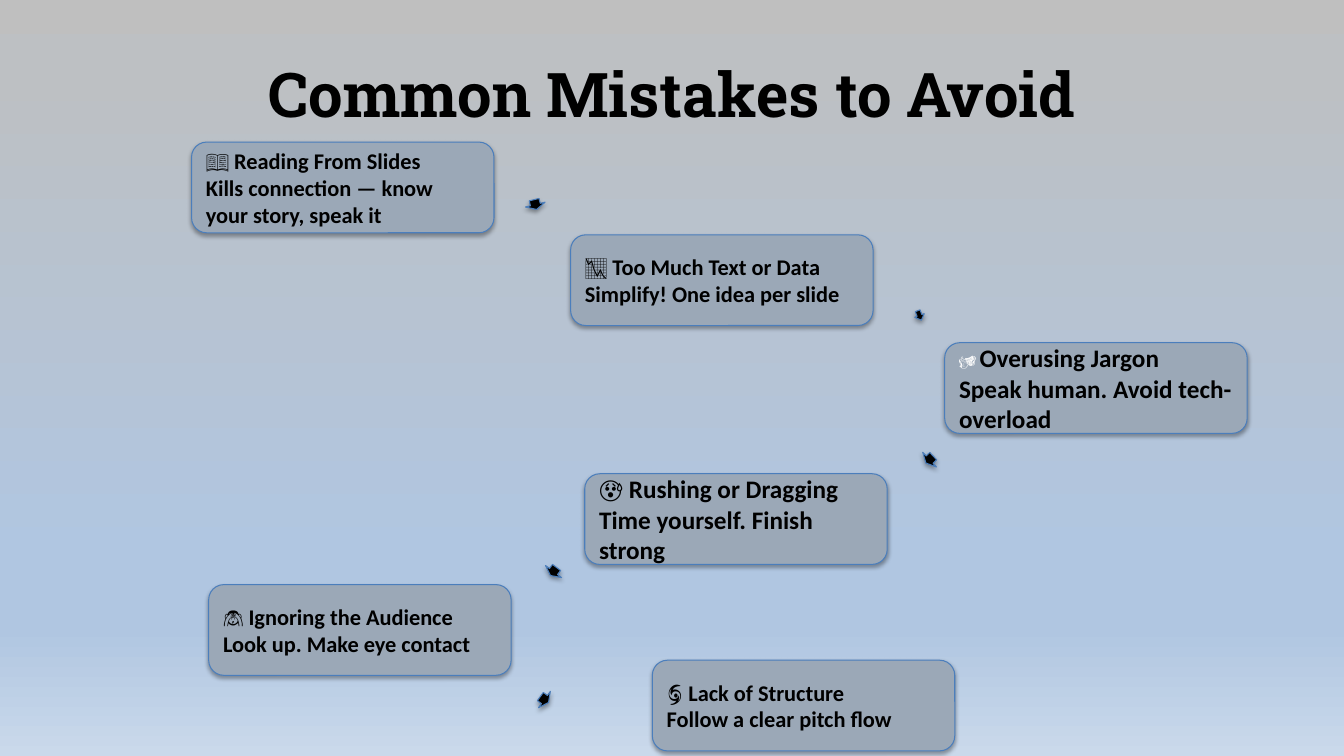
from dataclasses import dataclass

from lxml.etree import SubElement
from pptx import Presentation
from pptx.dml.color import RGBColor
from pptx.enum.shapes import MSO_SHAPE
from pptx.enum.text import MSO_ANCHOR, PP_ALIGN
from pptx.oxml.ns import qn
from pptx.util import Emu, Pt

EMU_PER_PX = 9144  # 100 px to the inch
CARD_SIZE = (300, 90)


@dataclass(frozen=True)
class Theme:
    background: tuple = ((0, "BFBFBF"), (9, "BDC0C3"), (74, "B0C6E1"),
                         (83, "B0C6E1"), (100, "CAD9EB"))
    ink: str = "000000"
    light: str = "FFFFFF"
    card: str = "9BA8B7"
    outline: str = "4B7EBC"
    title_font: str = "Roboto Slab"
    body_font: str = "Calibri"
    title_size: int = 44
    body_size: int = 16
    large_size: int = 18
    small_size: int = 12


THEME = Theme()

# left, top, icon, heading, advice, text size
CARDS = [
    (190, 141, "📖", "Reading From Slides",
     "Kills connection — know your story, speak it", THEME.body_size),
    (566, 233, "📉", "Too Much Text or Data",
     "Simplify! One idea per slide", THEME.body_size),
    (937, 340, "🎭", "Overusing Jargon",
     "Speak human. Avoid tech-overload", THEME.large_size),
    (580, 470, "😰", "Rushing or Dragging",
     "Time yourself. Finish strong", THEME.large_size),
    (207, 580, "🙈", "Ignoring the Audience",
     "Look up. Make eye contact", THEME.body_size),
    (647, 655, "🌀", "Lack of Structure",
     "Follow a clear pitch flow", THEME.body_size),
]
PALE_ICON = "🎭"

# box, rotation
ARROWS = [
    ((521, 198, 20, 10), 346),
    ((907, 308, 10, 10), 339),
    ((912, 451, 20, 10), 47),
    ((539, 562, 20, 10), 37),
    ((530, 689, 20, 10), 306),
]


def px(value):
    return Emu(value * EMU_PER_PX)


def rgb(value):
    return RGBColor.from_string(value)


def set_font(font, size, color, bold=True, name=THEME.body_font):
    font.name = name
    font.size = Pt(size)
    font.bold = bold
    font.color.rgb = rgb(color)


def paint_background(slide):
    fill = slide.background.fill
    fill.gradient()
    fill.gradient_angle = 270
    stops = slide.element.find(".//" + qn("a:gsLst"))
    for stop in list(stops):
        stops.remove(stop)
    for position, color in THEME.background:
        stop = SubElement(stops, qn("a:gs"), pos=str(position * 1000))
        SubElement(stop, qn("a:srgbClr"), val=color)


def add_raised_shape(slide, kind, box, color):
    """Add a filled, outlined shape with a soft shadow below it."""
    shape = slide.shapes.add_shape(kind, *map(px, box))
    shape.fill.solid()
    shape.fill.fore_color.rgb = rgb(color)
    shape.line.color.rgb = rgb(THEME.outline)
    shape.line.width = Pt(0.75)
    shape.shadow.inherit = False
    effects = shape.element.spPr.find(qn("a:effectLst"))
    shadow = SubElement(effects, qn("a:outerShdw"), blurRad=str(Pt(3.1)),
                        dist=str(Pt(1.8)), dir="5400000", rotWithShape="0")
    shadow_color = SubElement(shadow, qn("a:srgbClr"), val=THEME.ink)
    SubElement(shadow_color, qn("a:alpha"), val="35000")
    return shape


def place_title(slide, box, text):
    title = slide.shapes.title
    title.left, title.top, title.width, title.height = map(px, box)
    title.text_frame.vertical_anchor = MSO_ANCHOR.MIDDLE
    title.text_frame.text = text
    paragraph = title.text_frame.paragraphs[0]
    paragraph.alignment = PP_ALIGN.CENTER
    set_font(paragraph.font, THEME.title_size, THEME.ink, name=THEME.title_font)


def add_card(slide, box, icon, heading, advice, size):
    card = add_raised_shape(slide, MSO_SHAPE.ROUNDED_RECTANGLE, box, THEME.card)
    frame = card.text_frame
    frame.word_wrap = True
    frame.vertical_anchor = MSO_ANCHOR.MIDDLE
    frame.text = f"{icon} {heading}\n{advice}"
    for paragraph in frame.paragraphs:
        paragraph.alignment = PP_ALIGN.LEFT
        set_font(paragraph.font, size, THEME.ink)
    if icon == PALE_ICON:
        first = frame.paragraphs[0]
        first.runs[0].text = f"{icon} "
        set_font(first.runs[0].font, THEME.small_size, THEME.light, bold=False)
        first.add_run().text = heading


def add_arrow(slide, box, rotation):
    arrow = add_raised_shape(slide, MSO_SHAPE.DOWN_ARROW, box, THEME.ink)
    arrow.rotation = rotation


def build_mistakes_slide(presentation):
    slide = presentation.slides.add_slide(presentation.slide_layouts[5])
    paint_background(slide)
    place_title(slide, (67, 30, 1200, 125), "Common Mistakes to Avoid")
    for left, top, *content in CARDS:
        add_card(slide, (left, top, *CARD_SIZE), *content)
    for box, rotation in ARROWS:
        add_arrow(slide, box, rotation)


def main():
    presentation = Presentation()
    presentation.slide_width = px(1333)
    presentation.slide_height = px(750)
    build_mistakes_slide(presentation)
    presentation.save("out.pptx")


if __name__ == "__main__":
    main()
